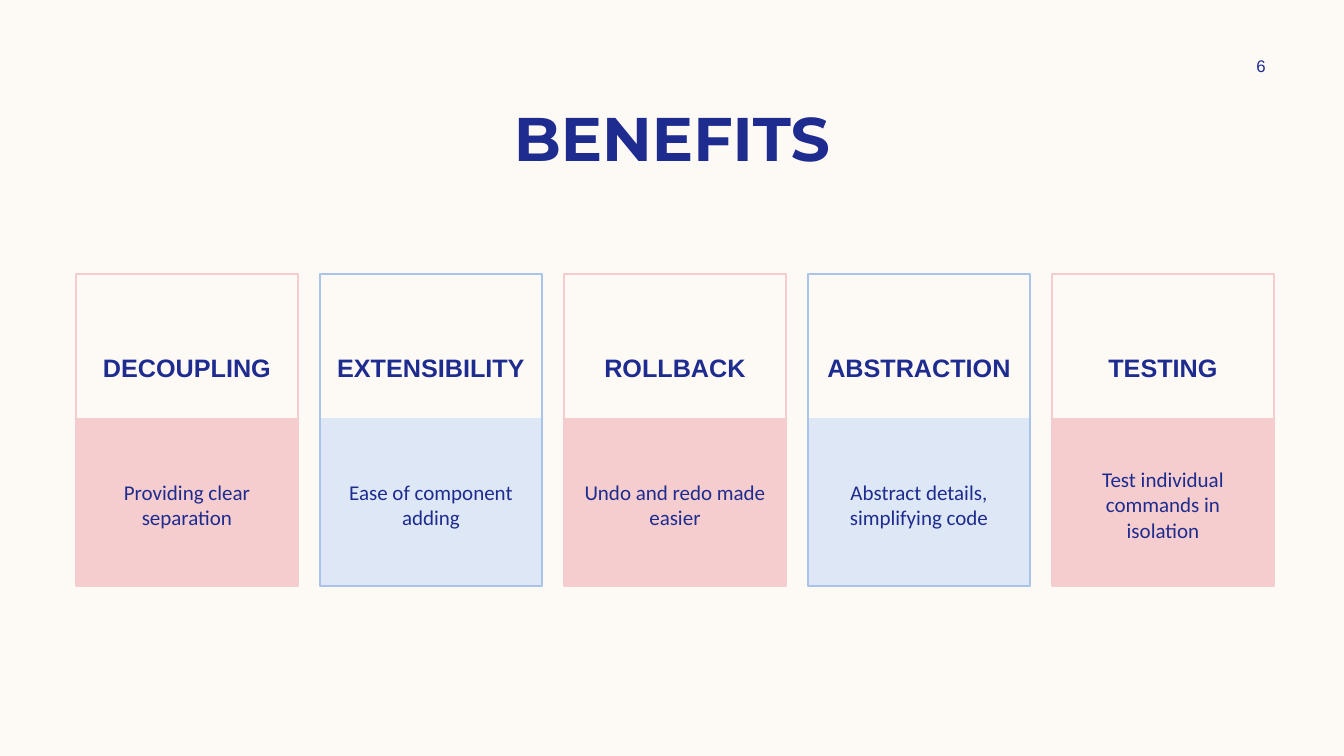
from pptx import Presentation
from pptx import util as u
from pptx.dml.color import RGBColor
from pptx.enum import shapes, text

PX = u.Inches(1) / 100.8


def px(length):
    return u.Emu(round(length * PX))


theme = {
    "background": RGBColor.from_string("FDFAF6"),
    "ink": RGBColor.from_string("1F2C8F"),
    "pink": {"fill": RGBColor.from_string("F5CDCE"), "line": RGBColor.from_string("F5CDCE")},
    "blue": {"fill": RGBColor.from_string("DDE7F6"), "line": RGBColor.from_string("AAC3E8")},
    "title": ("Montserrat", 44, True),
    "number": ("Arial", 12, False),
    "heading": ("Arial", 18, True),
    "description": ("Calibri", 15, False),
}

benefits = [
    ("DECOUPLING", "Providing clear separation"),
    ("EXTENSIBILITY", "Ease of component adding"),
    ("ROLLBACK", "Undo and redo made easier"),
    ("ABSTRACTION", "Abstract details, simplifying code"),
    ("TESTING", "Test individual commands in isolation"),
]


def write(shape, words, style, anchor=text.MSO_ANCHOR.MIDDLE):
    frame = shape.text_frame
    frame.word_wrap = True
    frame.vertical_anchor = anchor
    paragraph = frame.paragraphs[0]
    paragraph.text = words
    paragraph.alignment = text.PP_ALIGN.CENTER
    name, size, bold = theme[style]
    paragraph.font.name = name
    paragraph.font.size = u.Pt(size)
    paragraph.font.bold = bold
    paragraph.font.color.rgb = theme["ink"]


presentation = Presentation()
presentation.slide_width = px(1344)
presentation.slide_height = px(756)
slide = presentation.slides.add_slide(presentation.slide_layouts[6])
slide.background.fill.solid()
slide.background.fill.fore_color.rgb = theme["background"]

title = slide.shapes.add_textbox(px(84), px(94), px(1176), px(85))
write(title, "BENEFITS", "title")

number = slide.shapes.add_textbox(px(1207), px(51), px(108), px(30))
write(number, "6", "number")

card_left, card_top, card_width, card_height, card_pitch = 76, 274, 222, 312, 244
band_top = 418
band_height = card_top + card_height - band_top

for index, (heading, description) in enumerate(benefits):
    left = card_left + index * card_pitch
    colors = theme["blue" if index % 2 else "pink"]

    band = slide.shapes.add_shape(
        shapes.MSO_SHAPE.RECTANGLE, px(left), px(band_top), px(card_width), px(band_height))
    band.shadow.inherit = False
    band.fill.solid()
    band.fill.fore_color.rgb = colors["fill"]
    band.line.fill.background()

    card = slide.shapes.add_shape(
        shapes.MSO_SHAPE.RECTANGLE, px(left), px(card_top), px(card_width), px(card_height))
    card.shadow.inherit = False
    card.fill.background()
    card.line.color.rgb = colors["line"]
    card.line.width = u.Pt(1)
    card.text_frame.margin_top = px(78)
    write(card, heading, "heading", text.MSO_ANCHOR.TOP)

    caption = slide.shapes.add_textbox(px(left + 6), px(429), px(card_width - 12), px(151))
    write(caption, description, "description")

presentation.save("out.pptx")
